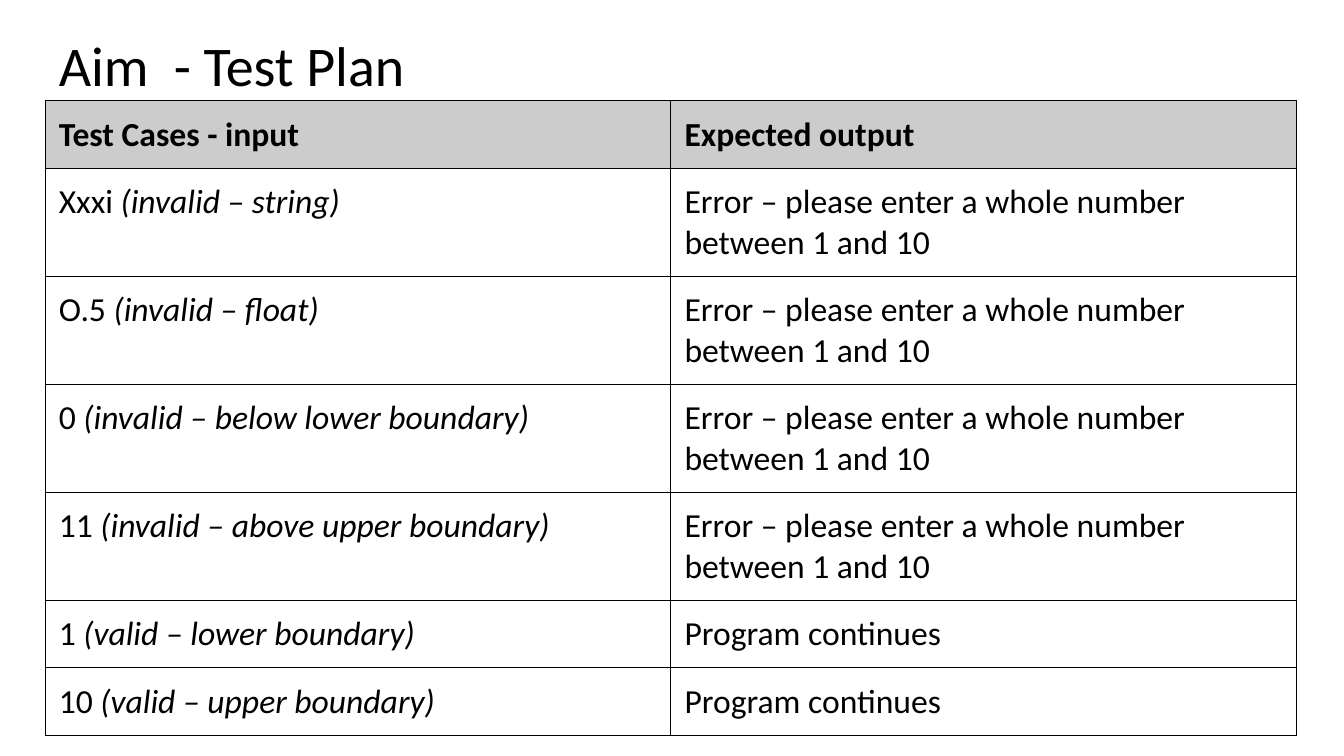
from lxml import etree
from pptx import Presentation
from pptx.dml.color import RGBColor
from pptx.enum.text import MSO_ANCHOR
from pptx.oxml.ns import qn
from pptx.util import Pt

PX = 9525
TOP = MSO_ANCHOR.TOP
FONT = "Calibri"
BLACK, GREY = "000000", "CCCCCC"
INSET = 13
ROW_H = 64

ERROR = "Error – please enter a whole number between 1 and 10"
CONTINUES = "Program continues"
HEADERS = ("Test Cases - input", "Expected output")
TEST_CASES = [
    ("Xxxi ", "(invalid – string)", ERROR),
    ("O.5 ", "(invalid – float)", ERROR),
    ("0 ", "(invalid – below lower boundary)", ERROR),
    ("11 ", "(invalid – above upper boundary)", ERROR),
    ("1 ", "(valid – lower boundary)", CONTINUES),
    ("10 ", "(valid – upper boundary)", CONTINUES),
]


def px(n):
    return int(n * PX)


def color(value):
    return RGBColor.from_string(value)


def set_insets(target):
    for side in ("left", "right", "top", "bottom"):
        setattr(target, f"margin_{side}", px(INSET))


def add_run(p, text, size, bold=False, italic=False):
    r = p.add_run()
    r.text = text
    r.font.name = FONT
    r.font.size = Pt(size)
    r.font.bold = bold
    r.font.italic = italic
    r.font.color.rgb = color(BLACK)


def add_borders(cell):
    tcPr = cell._tc.get_or_add_tcPr()
    for i, side in enumerate(("lnL", "lnR", "lnT", "lnB")):
        ln = etree.Element(qn(f"a:{side}"), w=str(px(1)))
        fill = etree.SubElement(ln, qn("a:solidFill"))
        etree.SubElement(fill, qn("a:srgbClr"), val=BLACK)
        tcPr.insert(i, ln)  # borders come before the cell fill


def fill_cell(cell, runs, header=False):
    set_insets(cell)
    cell.vertical_anchor = TOP
    if header:
        cell.fill.solid()
        cell.fill.fore_color.rgb = color(GREY)
    else:
        cell.fill.background()
    add_borders(cell)
    p = cell.text_frame.paragraphs[0]
    for text, italic in runs:
        add_run(p, text, 24, bold=header, italic=italic)


def add_title(s, x, y, w, h):
    sp = s.shapes.add_textbox(px(x), px(y), px(w), px(h))
    tf = sp.text_frame
    tf.word_wrap = True
    tf.vertical_anchor = TOP
    set_insets(tf)
    p = tf.paragraphs[0]
    p.line_spacing = 0.9
    add_run(p, "Aim\u00a0 - Test Plan".replace("\u00a0", " "), 40)


def add_test_table(s, x, y, w, h):
    frame = s.shapes.add_table(len(TEST_CASES) + 1, len(HEADERS),
                               px(x), px(y), px(w), px(h))
    table = frame.table
    table.horz_banding = False
    for row in table.rows:
        row.height = px(ROW_H)  # two-line rows grow with their text
    frame.height = px(h)

    # Header row
    for col, text in enumerate(HEADERS):
        fill_cell(table.cell(0, col), [(text, False)], header=True)

    # One row per test case
    for row, (value, reason, output) in enumerate(TEST_CASES, 1):
        fill_cell(table.cell(row, 0), [(value, False), (reason, True)])
        fill_cell(table.cell(row, 1), [(output, False)])


def main():
    prs = Presentation()
    prs.slide_width, prs.slide_height = px(1280), px(720)
    s = prs.slides.add_slide(prs.slide_layouts[6])
    add_title(s, 43, 23, 1192, 81)
    add_test_table(s, 43, 96, 1192, 602)
    prs.save("out.pptx")


if __name__ == "__main__":
    main()
